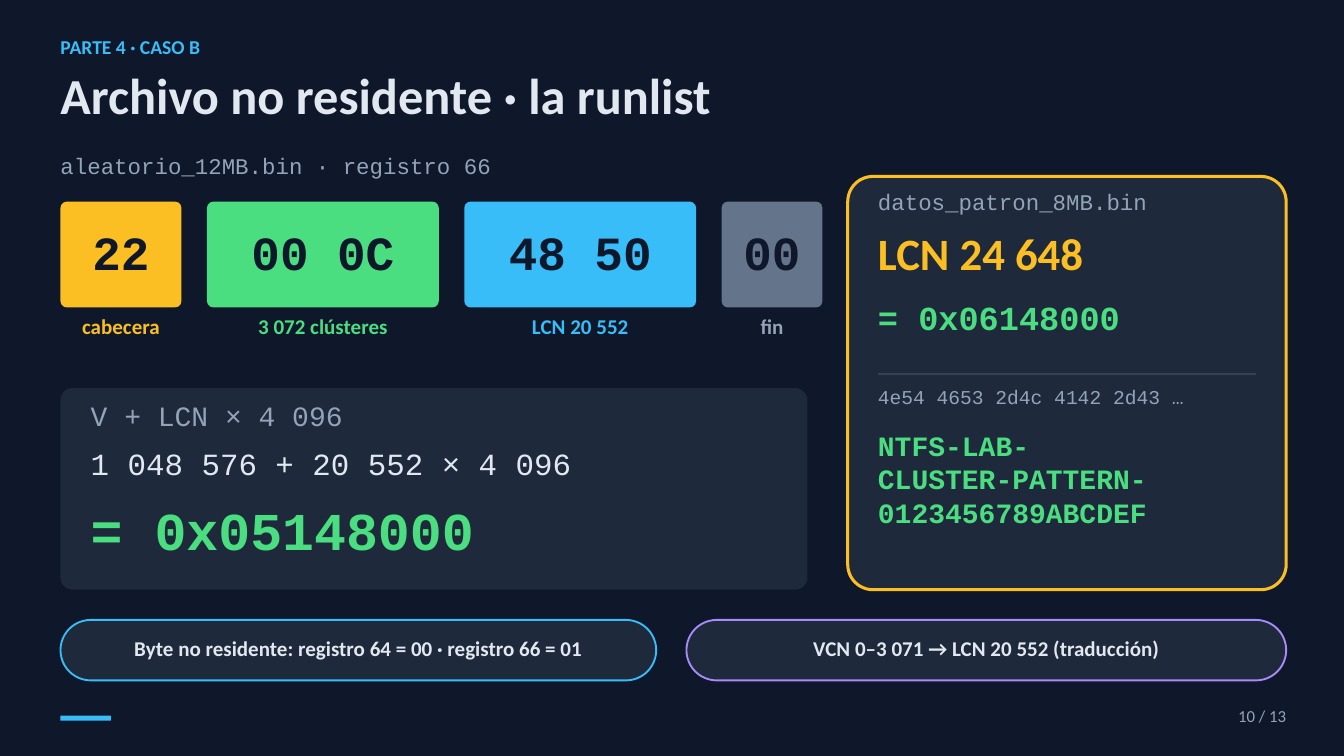
from pptx import Presentation
from pptx.dml.color import RGBColor
from pptx.enum.shapes import MSO_CONNECTOR, MSO_SHAPE
from pptx.enum.text import MSO_ANCHOR, PP_ALIGN
from pptx.oxml.ns import qn
from pptx.util import Inches, Pt

LEFT, CENTER, RIGHT = PP_ALIGN.LEFT, PP_ALIGN.CENTER, PP_ALIGN.RIGHT
MIDDLE = MSO_ANCHOR.MIDDLE
RECT, ROUND = MSO_SHAPE.RECTANGLE, MSO_SHAPE.ROUNDED_RECTANGLE
STRAIGHT = MSO_CONNECTOR.STRAIGHT

SANS, MONO = "Calibri", "Courier New"
COLORS = {
    "back": "0F172A", "panel": "1E293B", "rule": "334155", "slate": "64748B",
    "muted": "94A3B8", "light": "E2E8F0", "blue": "38BDF8", "green": "4ADE80",
    "amber": "FBBF24", "violet": "A78BFA",
}
CELL = 0.15  # inches per grid column and row
EDGE = 6     # left margin, in columns


def grid(*cells):
    return [Inches(n * CELL) for n in cells]


def tint(name):
    return RGBColor.from_string(COLORS[name])


class Page:
    """Style and current slide; every length is in grid cells."""

    def __init__(self, deck):
        self.slide = deck.slides.add_slide(deck.slide_layouts[6])
        fill = self.slide.background.fill
        fill.solid()
        fill.fore_color.rgb = tint("back")

    def style(self, frame, text, size, color, face, bold, align):
        frame.word_wrap = True
        frame.text = text
        for para in frame.paragraphs:
            para.alignment = align
            para.line_spacing = Pt(size * 1.2)
            font = para.font
            font.name, font.size, font.bold = face, Pt(size), bold
            font.color.rgb = tint(color)

    def text(self, x, y, w, h, text, size, color, face=SANS, bold=False, align=LEFT):
        frame = self.slide.shapes.add_textbox(*grid(x, y, w, h)).text_frame
        frame.margin_left = frame.margin_right = 0
        frame.margin_top = frame.margin_bottom = 0
        self.style(frame, text, size, color, face, bold, align)

    def box(self, x, y, w, h, fill, radius=0, line=None, width=2):
        shape = self.slide.shapes.add_shape(ROUND if radius else RECT, *grid(x, y, w, h))
        shape.shadow.inherit = False
        if radius:
            shape.adjustments[0] = radius / min(w, h)
        shape.fill.solid()
        shape.fill.fore_color.rgb = tint(fill)
        if line:
            shape.line.color.rgb = tint(line)
            shape.line.width = Pt(width)
        else:
            shape.line.fill.background()
        return shape

    def label(self, shape, text, size, color, face, lift):
        """Centred bold text inside a shape, raised by lift cells."""
        frame = shape.text_frame
        frame.vertical_anchor = MIDDLE
        frame.margin_left = frame.margin_right = frame.margin_top = Inches(0.06)
        frame.margin_bottom = Inches(0.06 + 2 * lift * CELL)
        self.style(frame, text, size, color, face, True, CENTER)

    def rule(self, x, y, w, color, width):
        line = self.slide.shapes.add_connector(STRAIGHT, *grid(x, y, x + w, y))
        line.line.color.rgb = tint(color)
        line.line.width = Pt(width)
        props = line._element.spPr
        props.append(props.makeelement(qn("a:effectLst"), {}))


def main():
    deck = Presentation()
    deck.slide_width, deck.slide_height = Inches(20), Inches(11.25)
    page = Page(deck)

    # Heading and footer
    page.text(EDGE, 3.5, 90, 3.3, "PARTE 4 · CASO B", 21, "blue", bold=True)
    page.text(EDGE, 6.4, 121, 8.8, "Archivo no residente · la runlist", 54, "light", bold=True)
    page.text(112.1, 70, 15.5, 3.2, "10 / 13", 18, "muted", align=RIGHT)
    page.box(EDGE, 71, 5, 0.5, "blue")

    # Runlist bytes
    page.text(EDGE, 15.1, 70, 3.8, "aleatorio_12MB.bin · registro 66", 24, "muted", MONO)
    runs = [
        ("22", "cabecera", 12, "amber", "amber"),
        ("00 0C", "3 072 clústeres", 23, "green", "green"),
        ("48 50", "LCN 20 552", 23, "blue", "blue"),
        ("00", "fin", 10, "slate", "muted"),
    ]
    x = EDGE
    for code, note, w, fill, color in runs:
        byte = page.box(x, 20, w, 10.5, fill, 0.63)
        page.label(byte, code, 51, "back", MONO, 0.3)
        page.text(x - 2, 31.1, w + 4, 3.9, note, 22.5, color, bold=True, align=CENTER)
        x += w + 2.53

    # Offset sum
    page.box(EDGE, 38.5, 74.1, 20, "panel", 1.2)
    sums = [
        (39.5, 5, "V + LCN × 4 096", 30, "muted", False),
        (44.1, 5.5, "1 048 576 + 20 552 × 4 096", 33, "light", False),
        (49.3, 7.8, "= 0x05148000", 57, "green", True),
    ]
    for y, h, text, size, color, bold in sums:
        page.text(9, y, 70, h, text, size, color, MONO, bold)

    # Pattern file card
    page.box(84.1, 17.5, 43.5, 41, "panel", 2.5, "amber", 3.25)
    page.rule(87.1, 37.1, 37.5, "rule", 2)
    facts = [
        (18.7, 3.8, "datos_patron_8MB.bin", 24, "muted", MONO, False),
        (22.4, 8.6, "LCN 24 648", 48, "amber", SANS, True),
        (29.5, 5.5, "= 0x06148000", 36, "green", MONO, True),
        (38.2, 4.3, "4e54 4653 2d4c 4142 2d43 …", 21, "muted", MONO, False),
        (42.5, 14.5, "NTFS-LAB-\nCLUSTER-PATTERN-\n0123456789ABCDEF", 30, "green", MONO, True),
    ]
    for y, h, *look in facts:
        page.text(87.1, y, 38, h, *look)

    # Bottom pills
    pills = [
        (EDGE, 59.1, "blue", "Byte no residente: registro 64 = 00 · registro 66 = 01"),
        (68.1, 59.5, "violet", "VCN 0–3 071 → LCN 20 552 (traducción)"),
    ]
    for x, w, line, text in pills:
        pill = page.box(x, 61.5, w, 6, "panel", 3, line)
        page.label(pill, text, 22.5, "light", SANS, 0.17)

    deck.save("out.pptx")


if __name__ == "__main__":
    main()
